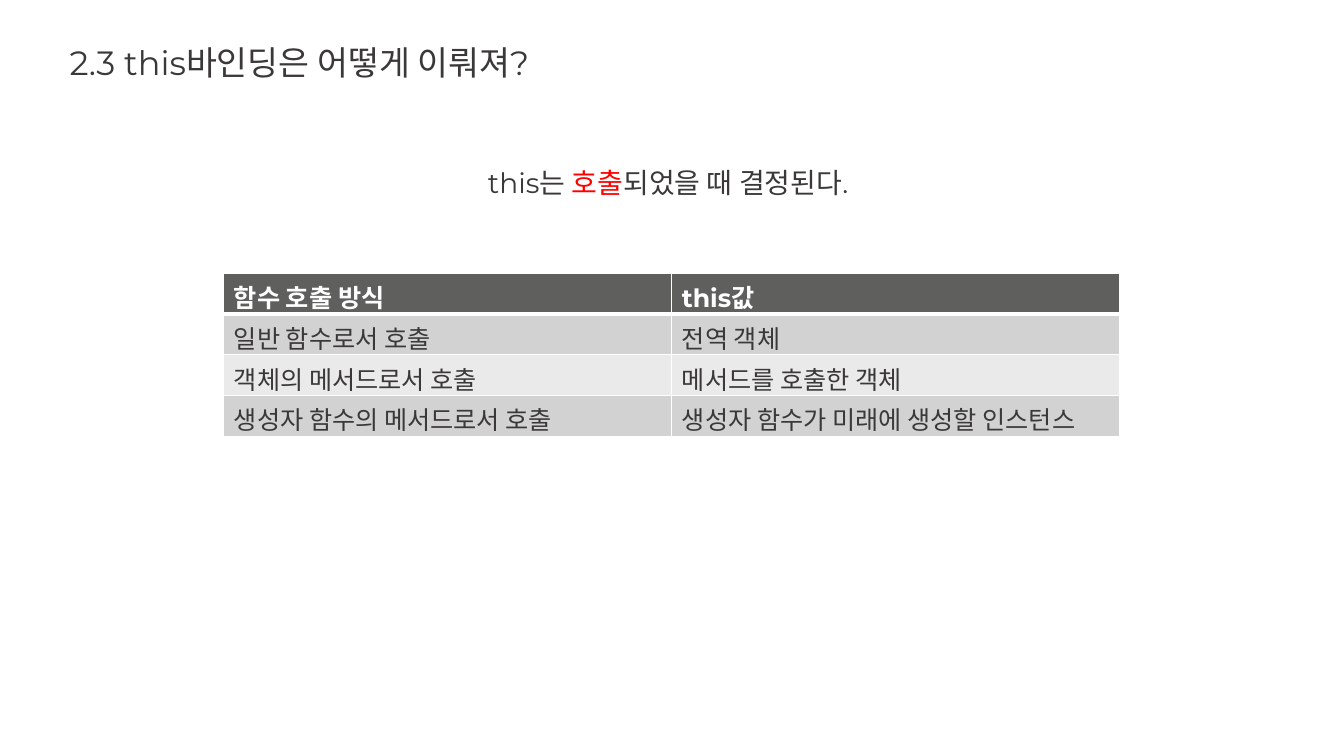
import pptx
import pptx.dml.color
import pptx.enum.text
import pptx.oxml
import pptx.oxml.ns
import pptx.util
from pptx.dml.color import RGBColor
from pptx.util import Cm

DARK = RGBColor(0x3A, 0x38, 0x38)
RED = RGBColor(0xFF, 0x00, 0x00)
WHITE = RGBColor(0xFF, 0xFF, 0xFF)
HEADER = RGBColor(0x5F, 0x5F, 0x5D)
BANDS = [RGBColor(0xEA, 0xEA, 0xEA), RGBColor(0xD2, 0xD2, 0xD2)]
FONT = "Montserrat"


def add_run(p, text, size, color, bold=False):
    r = p.add_run()
    r.text = text
    r.font.name = FONT
    r.font.size = pptx.util.Pt(size)
    r.font.bold = bold
    r.font.color.rgb = color


def add_border(cell, side, width):
    ln = pptx.oxml.parse_xml(
        f'<a:{side} {pptx.oxml.ns.nsdecls("a")} w="{pptx.util.Pt(width)}">'
        f'<a:solidFill><a:srgbClr val="{WHITE}"/></a:solidFill></a:{side}>'
    )
    cell._tc.get_or_add_tcPr().append(ln)


prs = pptx.Presentation()
prs.slide_width = Cm(33.87)
prs.slide_height = Cm(19.05)
s = prs.slides.add_slide(prs.slide_layouts[5])

title = s.shapes.title
title.left, title.top, title.width, title.height = Cm(1.5), Cm(0.94), Cm(11.96), Cm(1.27)
tf = title.text_frame
tf.word_wrap = False
tf.auto_size = pptx.enum.text.MSO_AUTO_SIZE.SHAPE_TO_FIT_TEXT
tf.vertical_anchor = pptx.enum.text.MSO_ANCHOR.TOP
p = tf.paragraphs[0]
p.alignment = pptx.enum.text.PP_ALIGN.LEFT
add_run(p, "2.3 this바인딩은 어떻게 이뤄져?", 24, DARK)

rows = [
    ("함수 호출 방식", "this값"),
    ("일반 함수로서 호출", "전역 객체"),
    ("객체의 메서드로서 호출", "메서드를 호출한 객체"),
    ("생성자 함수의 메서드로서 호출", "생성자 함수가 미래에 생성할 인스턴스"),
]
table = s.shapes.add_table(len(rows), 2, Cm(5.64), Cm(6.88), Cm(22.58), Cm(4.12)).table
for i, texts in enumerate(rows):
    is_header = i == 0
    for j, text in enumerate(texts):
        cell = table.cell(i, j)
        add_border(cell, "lnL", 1)
        add_border(cell, "lnR", 1)
        add_border(cell, "lnT", 3 if i == 1 else 1)
        add_border(cell, "lnB", 3 if is_header else 1)
        cell.fill.solid()
        cell.fill.fore_color.rgb = HEADER if is_header else BANDS[i % 2]
        p = cell.text_frame.paragraphs[0]
        add_run(p, text, 18, WHITE if is_header else DARK, is_header)

sp = s.shapes.add_textbox(Cm(8.46), Cm(4.04), Cm(16.94), Cm(1.11))
tf = sp.text_frame
tf.word_wrap = True
tf.auto_size = pptx.enum.text.MSO_AUTO_SIZE.SHAPE_TO_FIT_TEXT
p = tf.paragraphs[0]
p.alignment = pptx.enum.text.PP_ALIGN.CENTER
for text, color in [("this는 ", DARK), ("호출", RED), ("되었을 때 결정된다. ", DARK)]:
    add_run(p, text, 20, color)

prs.save("out.pptx")
